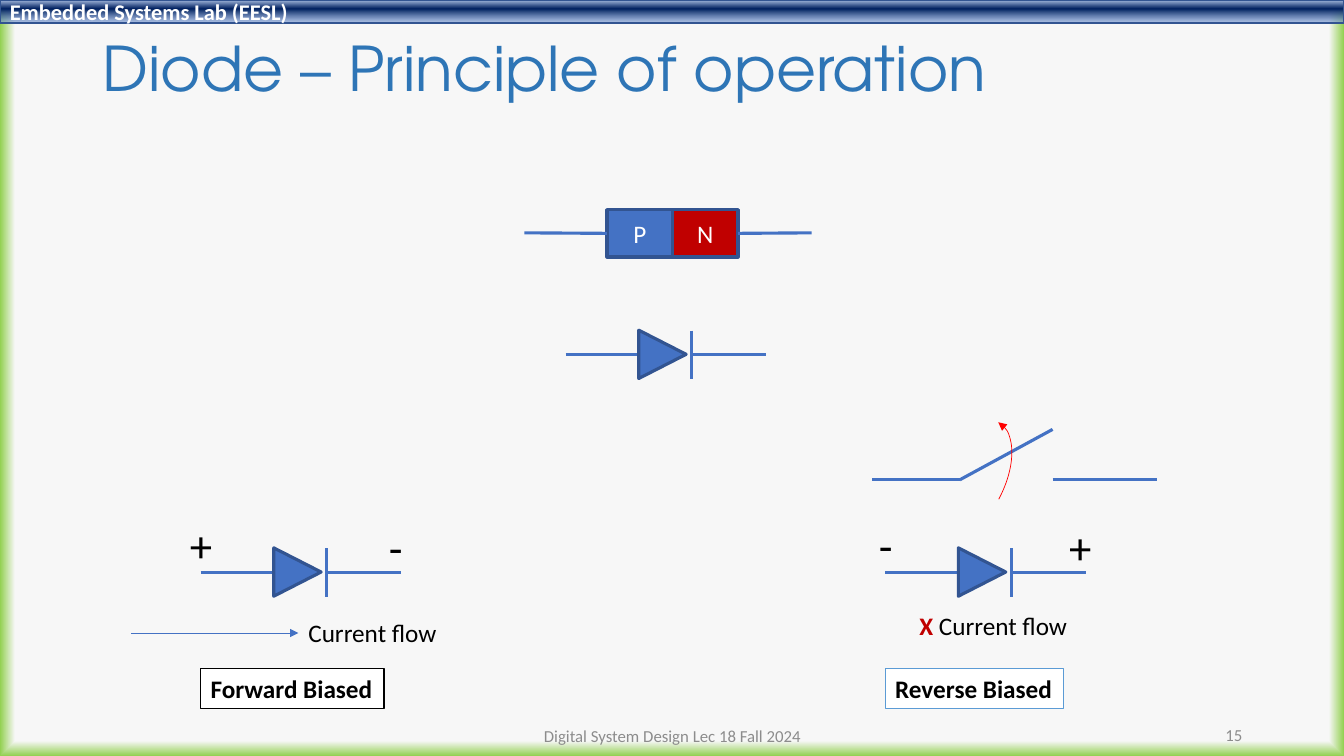
from dataclasses import dataclass

import pptx
import pptx.dml.color
import pptx.enum.shapes
import pptx.enum.text
import pptx.oxml
import pptx.oxml.ns
import pptx.oxml.xmlchemy
import pptx.util

Inches = pptx.util.Inches
Shapes = pptx.enum.shapes.MSO_SHAPE
Align = pptx.enum.text.PP_ALIGN
Anchor = pptx.enum.text.MSO_ANCHOR
OxmlElement = pptx.oxml.xmlchemy.OxmlElement
qn = pptx.oxml.ns.qn
rgb = pptx.dml.color.RGBColor.from_string


@dataclass(frozen=True)
class Theme:
    body_font: str = "Calibri"
    title_font: str = "TeX Gyre Adventor"
    blue: str = "4472C4"
    edge: str = "325491"
    title: str = "2E75B6"
    frame: str = "5B9BD5"
    dark_red: str = "C00000"
    red: str = "FF0000"
    grey: str = "8C8C8C"
    black: str = "000000"
    white: str = "FFFFFF"
    paper: str = "F7F7F7"
    glow: str = "92D050"
    band_colors: tuple = ("ABC0E4", "002060", "7E9ED6")
    title_size: int = 44
    sign_size: int = 32
    label_size: int = 18
    band_size: int = 16
    footer_size: int = 12
    thick: float = 2.25
    medium: float = 1
    thin: float = 0.5


theme = Theme()
presentation = pptx.Presentation()
presentation.slide_width = Inches(13.33)
presentation.slide_height = Inches(7.5)
slide = presentation.slides.add_slide(presentation.slide_layouts[6])


def add_box(bounds, text="", size=theme.label_size, color=theme.black, fill=None, line=None,
            width=theme.thick, kind=Shapes.RECTANGLE, align=Align.CENTER, bold=False, fit=False):
    """Add a shape or, without fill and line, a text box."""
    lengths = [Inches(value) for value in bounds]
    if fill or line:
        shape = slide.shapes.add_shape(kind, *lengths)
        shape.shadow.inherit = False
        shape.line.color.rgb = rgb(line)
        shape.line.width = pptx.util.Pt(width)
        if fill:
            shape.fill.solid()
            shape.fill.fore_color.rgb = rgb(fill)
        else:
            shape.fill.background()
    else:
        shape = slide.shapes.add_textbox(*lengths)
    if text:
        frame = shape.text_frame
        frame.text = text
        frame.word_wrap = not fit
        frame.vertical_anchor = Anchor.TOP if fit else Anchor.MIDDLE
        if fit:
            frame.auto_size = pptx.enum.text.MSO_AUTO_SIZE.SHAPE_TO_FIT_TEXT
        paragraph = frame.paragraphs[0]
        paragraph.alignment = align
        font = paragraph.runs[0].font
        font.name, font.size, font.bold = theme.body_font, pptx.util.Pt(size), bold
        font.color.rgb = rgb(color)
    return shape


def add_line(x1, y1, x2, y2, width=theme.thick):
    connector = slide.shapes.add_connector(
        pptx.enum.shapes.MSO_CONNECTOR.STRAIGHT, *[Inches(value) for value in (x1, y1, x2, y2)])
    connector.line.color.rgb = rgb(theme.blue)
    connector.line.width = pptx.util.Pt(width)
    connector.element.spPr.append(OxmlElement("a:effectLst"))
    return connector


# Header band and background gradients: stops are position, colour, opacity
band = add_box((0, 0, 13.33, 0.23), "Embedded Systems Lab (EESL)", theme.band_size, theme.white,
               theme.blue, theme.edge, theme.medium, align=Align.LEFT, bold=True)
gradients = (
    (slide.background.fill, slide.element, zip((96, 100), (theme.paper, theme.glow), (100, 100)),
     '<a:path path="shape"><a:fillToRect l="50000" t="50000" r="50000" b="50000"/></a:path>'),
    (band.fill, band.element, zip((2, 38, 93), theme.band_colors, (100, 100, 64)),
     '<a:lin ang="5400000" scaled="0"/>'),
)
for fill, owner, stops, direction in gradients:
    fill.gradient()
    stop_xml = "".join(
        f'<a:gs pos="{position * 1000}"><a:srgbClr val="{color}">'
        f'<a:alpha val="{opacity * 1000}"/></a:srgbClr></a:gs>'
        for position, color, opacity in stops)
    gradient = pptx.oxml.parse_xml(
        f'<a:gradFill {pptx.oxml.ns.nsdecls("a")} rotWithShape="1">'
        f"<a:gsLst>{stop_xml}</a:gsLst>{direction}</a:gradFill>")
    previous = owner.find(".//" + qn("a:gradFill"))
    previous.getparent().replace(previous, gradient)

# Title
title = add_box((0.92, 0.33, 11.5, 0.76), "Diode – Principle of operation", theme.title_size,
                theme.title, align=Align.LEFT)
title_paragraph = title.text_frame.paragraphs[0]
title_paragraph.line_spacing = 0.9
title_paragraph.runs[0].font.name = theme.title_font

# PN junction with its two leads
p_block, n_block = [
    add_box((left, 2.08, 0.65, 0.47), letter, color=theme.white, fill=fill, line=theme.edge)
    for left, letter, fill in ((6.02, "P", theme.blue), (6.67, "N", theme.dark_red))]
add_line(6.02, 2.31, 5.2, 2.31).begin_connect(p_block, 1)
add_line(7.32, 2.31, 8.05, 2.31).begin_connect(n_block, 3)

# Diode symbols: plain, forward biased, reverse biased
for left, middle, signs in ((5.61, 3.52, ""), (1.99, 5.68, "+-"), (8.78, 5.68, "-+")):
    bar = left + 1.25
    add_line(left, middle, left + 0.73, middle)
    triangle = add_box((left + 0.72, middle - 0.24, 0.48, 0.47), fill=theme.blue,
                       line=theme.edge, kind=Shapes.ISOSCELES_TRIANGLE)
    triangle.rotation = 90
    add_line(bar, middle - 0.24, bar, middle + 0.24)
    add_line(bar, middle, left + 1.99, middle)
    for index, sign in enumerate(signs):
        add_box((left - 0.26 + 1.93 * index, middle - 0.54 + 0.02 * index, 0.53, 0.52),
                sign, theme.sign_size)

# Current flow labels
flow_arrow = add_line(1.3, 6.28, 2.96, 6.28, theme.thin)
add_box((2.96, 6.08, 1.49, 0.4), "Current flow", align=Align.LEFT, fit=True)
blocked = add_box((9.02, 6.01, 1.68, 0.4), "X", color=theme.dark_red, align=Align.LEFT,
                  bold=True, fit=True)
blocked_run = blocked.text_frame.paragraphs[0].add_run()
blocked_run.text = " Current flow"
blocked_run.font.name = theme.body_font
blocked_run.font.size = pptx.util.Pt(theme.label_size)
blocked_run.font.color.rgb = rgb(theme.black)

# Bias captions
for left, width, caption, border in ((1.99, 1.82, "Forward Biased", theme.black),
                                     (8.78, 1.77, "Reverse Biased", theme.frame)):
    add_box((left, 6.63, width, 0.4), caption, fill=theme.white, line=border,
            width=theme.medium, align=Align.LEFT, bold=True, fit=True)

# Open switch
add_line(8.65, 4.76, 9.52, 4.76)
add_line(10.44, 4.76, 11.48, 4.76)
add_line(9.52, 4.76, 10.44, 4.26)
opening_arc = add_box((9.22, 4.11, 0.73, 1.34), line=theme.red, width=theme.thin, kind=Shapes.ARC)
opening_arc.rotation = 28.2

# Arrowheads
for shape, end in ((flow_arrow, "a:tailEnd"), (opening_arc, "a:headEnd")):
    arrowhead = OxmlElement(end)
    arrowhead.set("type", "triangle")
    shape.element.spPr.find(qn("a:ln")).append(arrowhead)

# Footer
add_box((4.42, 7.1, 4.5, 0.4), "Digital System Design Lec 18 Fall 2024", theme.footer_size, theme.grey)
add_box((9.42, 7.09, 3, 0.4), "15", theme.footer_size, theme.grey, align=Align.RIGHT)

presentation.save("out.pptx")
